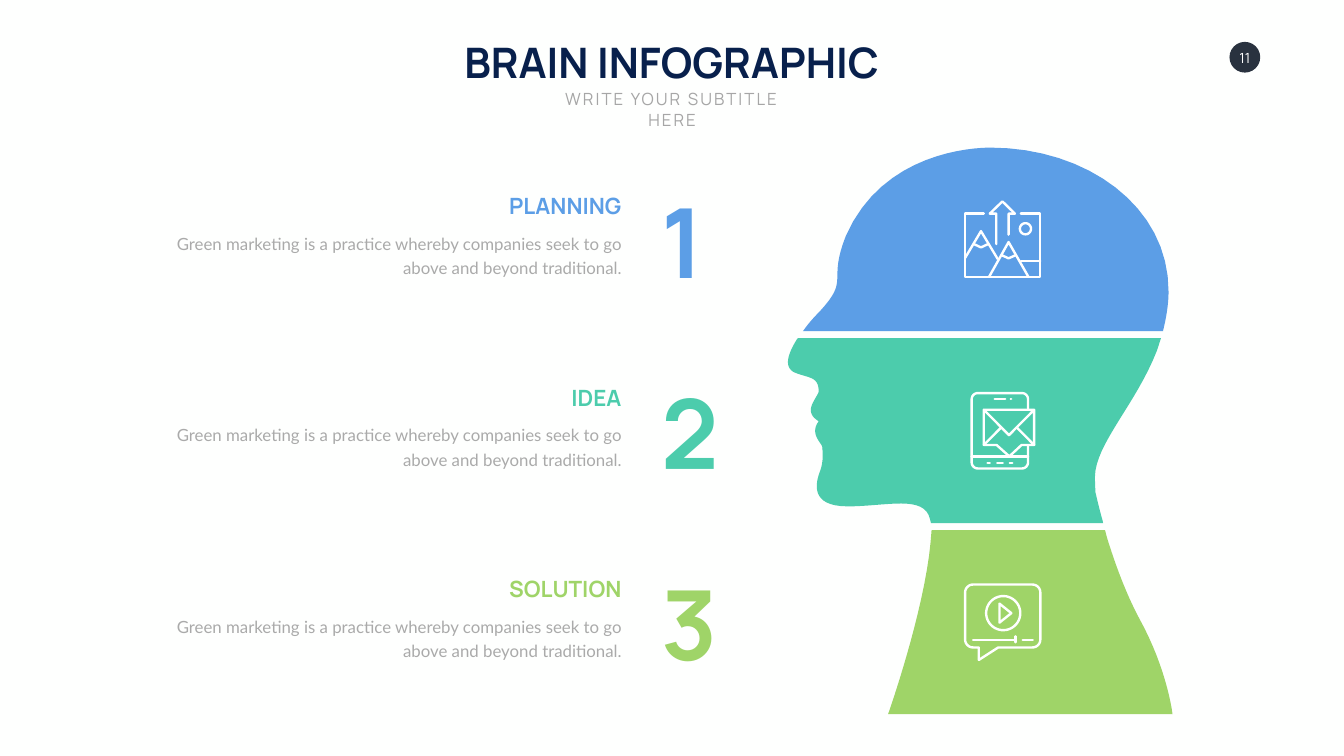
import math

from pptx import Presentation
from pptx import util as u
from pptx.dml.color import RGBColor
from pptx.enum import shapes, text

BACKGROUND = RGBColor(0xFE, 0xFF, 0xFE)
WHITE = RGBColor(0xFF, 0xFF, 0xFF)
NAVY = RGBColor(0x08, 0x20, 0x4C)
SLATE = RGBColor(0x29, 0x32, 0x3F)
SUBTITLE_GREY = RGBColor(0xA6, 0xA6, 0xA6)
BODY_GREY = RGBColor(0xAA, 0xAA, 0xAA)
BLUE = RGBColor(0x5C, 0x9E, 0xE6)
TEAL = RGBColor(0x4C, 0xCC, 0xAC)
GREEN = RGBColor(0x9F, 0xD4, 0x68)

ALIGN = text.PP_ALIGN
ANCHOR = text.MSO_ANCHOR
PITCH = 9.65  # cm between the three levels
DETAIL = ("Green marketing is a practice whereby companies seek to go "
          "above and beyond traditional.")

# number, heading, colour, number width, heading width
STEPS = [
    ("1", "PLANNING", BLUE, 2.36, 6.4),
    ("2", "IDEA", TEAL, 3.33, 3.12),
    ("3", "SOLUTION", GREEN, 3.48, 6.22),
]

# Head outlines in cm: (x, y) is a line, six values are a Bezier curve
FOREHEAD = [
    (10.21, 0), (15.04, 0, 19.2, 2.95, 19.18, 7.26),
    (19.18, 7.8, 19.1, 8.31, 19, 8.81), (18.9, 9.25), (0.76, 9.25), (0.84, 9.14),
    (1.04, 8.86, 1.3, 8.56, 1.6, 8.26), (3.15, 6.58, 1.98, 6.83, 2.92, 4.45),
    (4.78, 0.2, 9.37, 0, 10.21, 0),
]
FACE = [
    (0.51, 9.6), (18.8, 9.6), (18.59, 10.24),
    (17.53, 12.95, 15.47, 14.96, 15.47, 16.61),
    (15.47, 16.87, 15.49, 17.12, 15.49, 17.37),
    (15.52, 17.42, 15.62, 17.98, 15.85, 18.77),
    (15.88, 18.92), (7.21, 18.92), (7.16, 18.72),
    (6.88, 17.48, 4.95, 18.08, 3.02, 18.08),
    (1.07, 18.08, 1.4, 16.87, 1.63, 16.28),
    (1.83, 15.7, 1.73, 15.14, 1.73, 15.14),
    (1.8, 14.94, 1.04, 14.48, 1.55, 13.79),
    (0.76, 13.31, 1.37, 12.75, 1.55, 12.32),
    (1.57, 11.51, 1.04, 11.63, 0.33, 11.33),
    (-0.15, 11.1, -0.1, 10.54, 0.46, 9.65),
]
NECK = [
    (7.24, 19.28), (15.98, 19.28), (16.08, 19.66),
    (16.46, 20.9, 17.02, 22.45, 17.7, 23.72),
    (19.13, 26.31, 19.38, 28.55, 19.38, 28.55), (5.05, 28.55),
    (5.05, 28.55, 6.86, 23.44, 7.19, 19.89),
]


def arc(cx, cy, radius, start, end):
    """Points along a circle; angles in degrees, clockwise from the right."""
    count = max(8, abs(end - start) // 8)
    angles = [math.radians(start + (end - start) * i / count) for i in range(count + 1)]
    return [(cx + radius * math.cos(a), cy + radius * math.sin(a)) for a in angles]


def flatten(outline, steps=16):
    points = [outline[0]]
    for part in outline[1:]:
        if len(part) == 2:
            points.append(part)
            continue
        x0, y0 = points[-1]
        x1, y1, x2, y2, x3, y3 = part
        for i in range(1, steps + 1):
            t = i / steps
            a, b, c, d = (1 - t) ** 3, 3 * t * (1 - t) ** 2, 3 * t * t * (1 - t), t ** 3
            points.append((a * x0 + b * x1 + c * x2 + d * x3,
                           a * y0 + b * y1 + c * y2 + d * y3))
    return points


# Icons: strokes in cm within a 3.9 cm square
UPLOAD_ICON = [
    [(1, 0.67), (0.06, 0.67), (0.06, 3.85), (3.84, 3.85), (3.84, 0.67), (2.87, 0.67)],
    [(1.63, 2.2), (1.63, 0.67), (1.3, 0.67), (1.94, 0.05), (2.57, 0.67),
     (2.25, 0.67), (2.25, 1.73)],
    [(0.06, 2.9), (0.86, 1.55), (1.7, 2.95)],
    [(0.5, 2.2), (0.86, 2.37), (1.22, 2.2)],
    [(1.27, 3.85), (2.25, 2.1), (3.25, 3.85)],
    [(1.92, 2.77), (2.25, 2.92), (2.59, 2.77)],
    [(2.87, 3.06), (3.84, 3.06)],
    arc(3.1, 1.43, 0.28, 0, 360),
]
PHONE_ICON = [
    [(3.23, 0.84), *arc(2.92, 0.37, 0.31, 0, -90), *arc(0.7, 0.37, 0.31, 270, 180),
     *arc(0.7, 3.55, 0.31, 180, 90), *arc(2.92, 3.55, 0.31, 90, 0), (3.23, 2.74)],
    [(0.39, 3.26), (3.23, 3.26)],
    *[[(left, 3.57), (right, 3.57)]
      for left, right in ((1.19, 1.3), (1.68, 1.96), (2.31, 2.44))],
    [(1.55, 0.37), (2.08, 0.37)],
    [(2.36, 0.37), (2.38, 0.37)],
    [(1, 0.9), (3.54, 0.9), (3.54, 2.68), (2.9, 2.68), (2.29, 3.25), (1.65, 2.68),
     (1, 2.68), (1, 0.9), (2.27, 2.18), (3.54, 0.9)],
    [(1, 2.68), (1.87, 1.8)],
    [(3.54, 2.68), (2.67, 1.8)],
]
VIDEO_ICON = [
    [*arc(0.46, 0.46, 0.4, 180, 270), *arc(3.45, 0.46, 0.4, 270, 360),
     *arc(3.45, 2.83, 0.4, 0, 90), (1.73, 3.23), (0.75, 3.86), (0.75, 3.23),
     *arc(0.46, 2.83, 0.4, 90, 180), (0.06, 0.46)],
    arc(1.98, 1.5, 0.86, 0, 360),
    [(1.79, 1.02), (2.39, 1.5), (1.79, 1.98), (1.79, 1.02)],
    [(0.46, 2.84), (2.6, 2.84)],
    [(2.6, 2.67), (2.6, 2.97)],
    [(2.96, 2.84), (3.47, 2.84)],
]


def add_outline(slide, left, top, contours, closed):
    """Add one freeform; its contours are in cm from left, top."""
    contours = [[(x * 1000, y * 1000) for x, y in points] for points in contours]
    builder = slide.shapes.build_freeform(*contours[0][0], scale=u.Cm(1) / 1000)
    for i, points in enumerate(contours):
        if i:
            builder.move_to(*points[0])
        builder.add_line_segments(points[1:], close=closed)
    shape = builder.convert_to_shape(u.Cm(left), u.Cm(top))
    shape.shadow.inherit = False
    return shape


def add_text(slide, box, words, size, color, font="Manrope", bold=False,
             align=ALIGN.LEFT, anchor=ANCHOR.TOP, wrap=False):
    frame = slide.shapes.add_textbox(*map(u.Cm, box)).text_frame
    frame.word_wrap = wrap
    frame.auto_size = text.MSO_AUTO_SIZE.SHAPE_TO_FIT_TEXT
    frame.vertical_anchor = anchor
    paragraph = frame.paragraphs[0]
    paragraph.alignment = align
    run = paragraph.add_run()
    run.text = words
    run.font.name, run.font.size, run.font.bold = font, u.Pt(size), bold
    run.font.color.rgb = color
    return frame


def add_page_number(slide, left, top):
    badge = slide.shapes.add_shape(shapes.MSO_SHAPE.OVAL, u.Cm(left), u.Cm(top),
                                   u.Cm(1.55), u.Cm(1.55))
    badge.shadow.inherit = False
    badge.fill.solid()
    badge.fill.fore_color.rgb = SLATE
    badge.line.fill.background()
    frame = add_text(slide, (left + 0.25, top + 0.4, 1.04, 0.86), "11", 20, WHITE,
                     align=ALIGN.CENTER, anchor=ANCHOR.MIDDLE)
    frame.margin_left = frame.margin_right = frame.margin_top = frame.margin_bottom = 0


def add_header(slide, left, top):
    add_text(slide, (left, top, 22.43, 2.82), "BRAIN INFOGRAPHIC", 60, NAVY,
             bold=True, align=ALIGN.CENTER)
    subtitle = add_text(slide, (left + 4.34, top + 2.67, 13.79, 1.27),
                        "WRITE YOUR SUBTITLE HERE", 24, SUBTITLE_GREY,
                        align=ALIGN.CENTER, wrap=True)
    # Letter spacing of 3 pt
    subtitle.paragraphs[0].runs[0].font._element.set("spc", "300")


def add_head(slide, left, top):
    for outline, color in ((FOREHEAD, BLUE), (FACE, TEAL), (NECK, GREEN)):
        segment = add_outline(slide, left, top, [flatten(outline)], closed=True)
        segment.fill.solid()
        segment.fill.fore_color.rgb = color
        segment.line.fill.background()
    for level, strokes in enumerate((UPLOAD_ICON, PHONE_ICON, VIDEO_ICON)):
        icon = add_outline(slide, left + 8.87, top + 2.66 + level * PITCH, strokes,
                           closed=False)
        icon.fill.background()
        icon.line.color.rgb = WHITE
        icon.line.width = u.Pt(3.4)
        icon.element.spPr.get_or_add_ln().set("cap", "rnd")


def add_step(slide, left, top, number, heading, color, number_width, heading_width):
    column = 22.93
    add_text(slide, (left + 24.46, top, number_width, 6.15), number, 138, color,
             bold=True, anchor=ANCHOR.MIDDLE)
    add_text(slide, (left + column - heading_width, top + 0.56, heading_width, 1.63),
             heading, 32, color, bold=True, align=ALIGN.RIGHT, anchor=ANCHOR.BOTTOM)
    detail = add_text(slide, (left, top + 2.44, column, 2.62), DETAIL, 24, BODY_GREY,
                      font="Lato", align=ALIGN.RIGHT, wrap=True).paragraphs[0]
    detail.line_spacing = u.Pt(35)
    detail.space_before = u.Pt(4.8)


def main():
    deck = Presentation()
    deck.slide_width, deck.slide_height = u.Cm(67.72), u.Cm(38.1)
    slide = deck.slides.add_slide(deck.slide_layouts[6])
    slide.background.fill.solid()
    slide.background.fill.fore_color.rgb = BACKGROUND
    add_page_number(slide, 61.95, 2.11)
    add_header(slide, 22.63, 1.7)
    add_head(slide, 39.7, 7.44)
    for level, step in enumerate(STEPS):
        add_step(slide, 8.64, 8.99 + level * PITCH, *step)
    deck.save("out.pptx")


if __name__ == "__main__":
    main()
